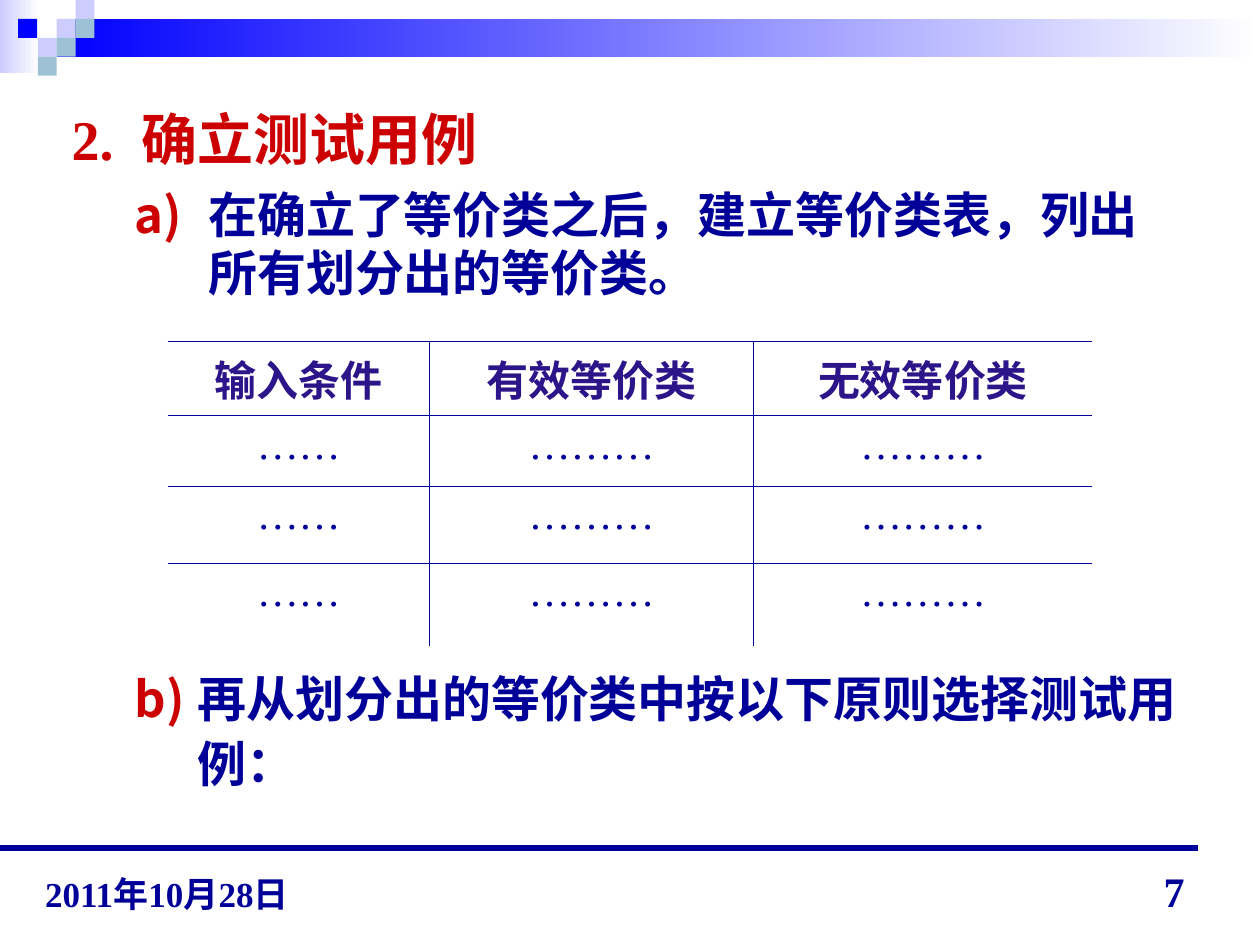
from lxml import etree
from pptx import Presentation
from pptx.dml.color import RGBColor
from pptx.enum import shapes, text
from pptx.oxml import parse_xml
from pptx.oxml.ns import nsdecls, qn
from pptx.util import Pt

NAVY = RGBColor(0x00, 0x00, 0x99)
BLUE = RGBColor(0x00, 0x00, 0xFF)
LILAC = RGBColor(0xCC, 0xCC, 0xFF)
TEAL = RGBColor(0x9D, 0xC2, 0xD7)
RED = RGBColor(0xCC, 0x00, 0x00)
VIOLET = RGBColor(0x2C, 0x15, 0x88)
WHITE = RGBColor(0xFF, 0xFF, 0xFF)
SERIF = "Times New Roman"
SANS = "Noto Sans CJK SC"


def add_run(paragraph, words, size, color, bold=True, latin=SERIF, asian=SANS):
    run = paragraph.add_run()
    run.text = words
    run.font.size = Pt(size)
    run.font.bold = bold
    run.font.color.rgb = color
    run.font.name = latin
    etree.SubElement(run._r.get_or_add_rPr(), qn("a:ea")).set("typeface", asian)


def set_list_format(paragraph, left, hanging, start=None):
    """Set the hanging indent and a lettered bullet, or none without a start."""
    props = paragraph._p.get_or_add_pPr()
    props.set("marL", str(Pt(left)))
    props.set("indent", str(-Pt(hanging)))
    if start is None:
        etree.SubElement(props, qn("a:buNone"))
        return
    bullet_color = etree.SubElement(props, qn("a:buClr"))
    etree.SubElement(bullet_color, qn("a:srgbClr")).set("val", str(RED))
    etree.SubElement(props, qn("a:buFont")).set("typeface", SANS)
    numbering = etree.SubElement(props, qn("a:buAutoNum"))
    numbering.set("type", "alphaLcParenR")
    numbering.set("startAt", str(start))


prs = Presentation()
prs.slide_width, prs.slide_height = Pt(720), Pt(540)
slide = prs.slides.add_slide(prs.slide_layouts[1])
title = slide.shapes.title._element
title.getparent().remove(title)

# Header: two fading bands and a mosaic of small squares
bands = [(0, 0, 22.3, 41.8, LILAC), (32.4, 10.8, 687.6, 21.6, BLUE)]
SQUARE = 10.8
squares = [(32.4, 1, LILAC), (43.2, 0, LILAC), (43.2, 1, TEAL), (21.6, 2, LILAC),
           (10.4, 1, BLUE), (32.4, 2, TEAL), (21.6, 3, TEAL)]
tiles = [(x, row * SQUARE, SQUARE, SQUARE, color) for x, row, color in squares]
for x, y, width, height, color in bands + tiles:
    block = slide.shapes.add_shape(shapes.MSO_SHAPE.RECTANGLE,
                                   Pt(x), Pt(y), Pt(width), Pt(height))
    block.shadow.inherit = False
    block.line.fill.background()
    if width == SQUARE:
        block.fill.solid()
        block.fill.fore_color.rgb = color
    else:
        block.fill.gradient()
        block.fill.gradient_angle = 0
        for stop, shade in zip(block.fill.gradient_stops, (color, WHITE)):
            stop.color.rgb = shade

# Footer rule
rule = slide.shapes.add_connector(shapes.MSO_CONNECTOR.STRAIGHT,
                                  Pt(0), Pt(484.6), Pt(684.7), Pt(484.6))
rule.line.color.rgb = NAVY
rule.line.width = Pt(3.25)
etree.SubElement(rule._element.spPr, qn("a:effectLst"))

# Heading and step a
body = slide.placeholders[1]
body.left, body.top, body.width, body.height = Pt(33.8), Pt(56.2), Pt(642.2), Pt(128.9)
body.text_frame.auto_size = text.MSO_AUTO_SIZE.NONE
heading = body.text_frame.paragraphs[0]
heading.line_spacing, heading.space_before = 1.0, Pt(8)
set_list_format(heading, 40, 40)
add_run(heading, "2.\t确立测试用例", 32, RED)
step_a = body.text_frame.add_paragraph()
step_a.level = 1
step_a.line_spacing, step_a.space_before = 1.0, Pt(7)
set_list_format(step_a, 78, 42, start=1)
add_run(step_a, "在确立了等价类之后，建立等价类表，列出所有划分出的等价类。", 28, NAVY)

# Table of equivalence classes
headers = ["输入条件", "有效等价类", "无效等价类"]
rows = [headers] + [["……", "………", "………"]] * 3
col_widths = [149.8, 185, 193.7]
row_heights = [42.5, 40.3, 43.9, 47.5]
classes = slide.shapes.add_table(len(rows), len(headers), Pt(95.8), Pt(195.1),
                                 Pt(sum(col_widths)), Pt(sum(row_heights))).table
classes.first_row = classes.horz_banding = False
for column, width in zip(classes.columns, col_widths):
    column.width = Pt(width)
for r, (words, height) in enumerate(zip(rows, row_heights)):
    classes.rows[r].height = Pt(height)
    for c, word in enumerate(words):
        cell = classes.cell(r, c)
        entry = cell.text_frame.paragraphs[0]
        entry.alignment = text.PP_ALIGN.CENTER
        entry.space_before = Pt(6)
        if r == 0:
            add_run(entry, word, 24, VIOLET, latin=SANS)
        else:
            add_run(entry, word, 24, NAVY, bold=False, asian=SERIF)
        borders = {"lnL": 0.45 if c > 0 else 0,
                   "lnR": 0.45 if c < len(headers) - 1 else 0,
                   "lnT": 0.45 if r > 0 else 1.08,
                   "lnB": 0.45 if r < len(rows) - 1 else 0}
        for side, weight in borders.items():
            paint = (f'<a:solidFill><a:srgbClr val="{NAVY}"/></a:solidFill>'
                     if weight else "<a:noFill/>")
            cell._tc.get_or_add_tcPr().append(parse_xml(
                f'<a:{side} {nsdecls("a")} w="{Pt(weight)}">{paint}</a:{side}>'))
        cell.fill.background()

# Step b
step_b_box = slide.shapes.add_textbox(Pt(69.8), Pt(375.1), Pt(619.9), Pt(94.3))
step_b_box.text_frame.word_wrap = True
step_b = step_b_box.text_frame.paragraphs[0]
step_b.line_spacing, step_b.space_before = 1.1, Pt(7)
set_list_format(step_b, 36, 36, start=2)
add_run(step_b, "再从划分出的等价类中按以下原则选择测试用例：", 28, NAVY)

# Page number and date
footers = [("7", 24, 516.2, 491, 167.8, 36, text.PP_ALIGN.RIGHT),
           ("2011年10月28日", 20, 18.7, 488.9, 185, 37.4, text.PP_ALIGN.LEFT)]
for words, size, x, y, width, height, alignment in footers:
    footer = slide.shapes.add_textbox(Pt(x), Pt(y), Pt(width), Pt(height)).text_frame
    footer.word_wrap = True
    footer.vertical_anchor = text.MSO_ANCHOR.BOTTOM
    footer.paragraphs[0].alignment = alignment
    add_run(footer.paragraphs[0], words, size, NAVY)

prs.save("out.pptx")
